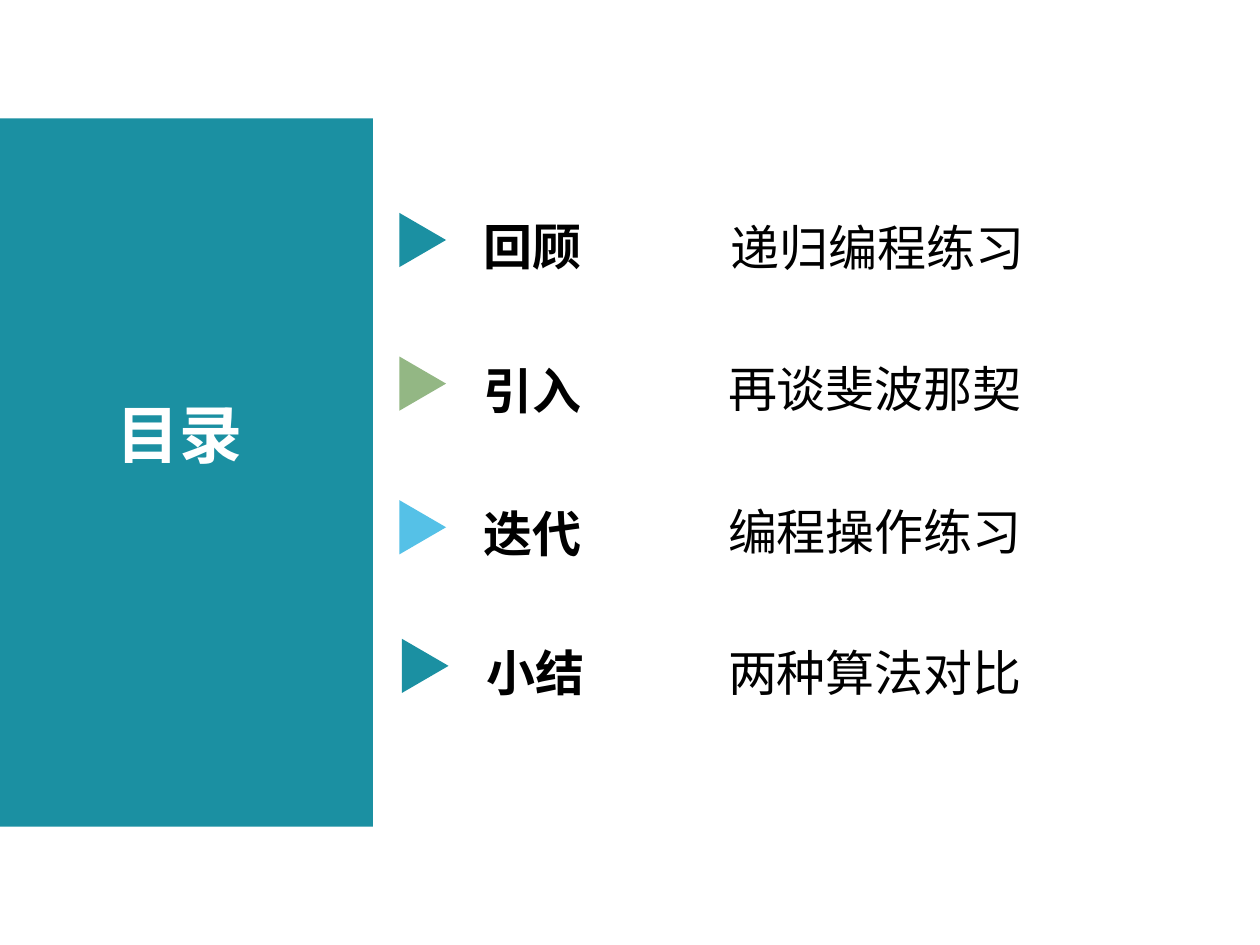
"""Build the contents slide with a title panel and four marked topics."""
from lxml import etree
from pptx import Presentation
from pptx.dml.color import RGBColor
from pptx.enum.shapes import MSO_SHAPE
from pptx.enum.text import MSO_AUTO_SIZE
from pptx.oxml.ns import qn
from pptx.util import Inches, Pt

RECTANGLE = MSO_SHAPE.RECTANGLE
TRIANGLE = MSO_SHAPE.ISOSCELES_TRIANGLE
FIT_SHAPE = MSO_AUTO_SIZE.SHAPE_TO_FIT_TEXT

TEAL = RGBColor(0x1B, 0x90, 0xA2)
GREEN = RGBColor(0x93, 0xB7, 0x84)
SKY = RGBColor(0x55, 0xC1, 0xE7)
BLACK = RGBColor(0, 0, 0)
WHITE = RGBColor(0xFF, 0xFF, 0xFF)
FONT = "Noto Sans CJK SC"

TITLE = "目录"
TOPICS = [
    {"label": "回顾", "detail": "递归编程练习", "color": TEAL,
     "marker": (3.14, 1.72), "label_top": 1.67, "detail_at": (5.7, 1.68)},
    {"label": "引入", "detail": "再谈斐波那契", "color": GREEN,
     "marker": (3.14, 2.86), "label_top": 2.81, "detail_at": (5.68, 2.8)},
    {"label": "迭代", "detail": "编程操作练习", "color": SKY,
     "marker": (3.14, 4), "label_top": 3.95, "detail_at": (5.68, 3.93)},
    {"label": "小结", "detail": "两种算法对比", "color": TEAL,
     "marker": (3.16, 5.1), "label_top": 5.05, "detail_at": (5.68, 5.05)},
]
LABEL_OFFSET = 0.6
LABEL_WIDTH = 1.89
DETAIL_WIDTH = 3.64
TEXT_HEIGHT = 0.57


def add_filled_shape(slide, kind, left, top, width, height, color):
    shape = slide.shapes.add_shape(
        kind, Inches(left), Inches(top), Inches(width), Inches(height))
    shape.shadow.inherit = False
    shape.fill.solid()
    shape.fill.fore_color.rgb = color
    shape.line.fill.background()
    return shape


def add_text(slide, text, left, top, width, height, size, color, bold):
    box = slide.shapes.add_textbox(
        Inches(left), Inches(top), Inches(width), Inches(height))
    frame = box.text_frame
    frame.word_wrap = True
    frame.auto_size = FIT_SHAPE
    run = frame.paragraphs[0].add_run()
    run.text = text
    run.font.size = Pt(size)
    run.font.bold = bold
    run.font.color.rgb = color
    run.font.name = FONT
    properties = run.font._element
    east_asian = etree.SubElement(properties, qn("a:ea"))
    east_asian.set("typeface", FONT)


def main():
    presentation = Presentation()
    presentation.slide_width = Inches(10)
    presentation.slide_height = Inches(7.5)
    slide = presentation.slides.add_slide(presentation.slide_layouts[6])

    add_filled_shape(slide, RECTANGLE, 0, 0.94, 2.96, 5.62, TEAL)
    add_text(slide, TITLE, 0.83, 3.09, 1.31, 0.7, 36, WHITE, True)

    for topic in TOPICS:
        left, top = topic["marker"]
        marker = add_filled_shape(
            slide, TRIANGLE, left, top, 0.43, 0.37, topic["color"])
        marker.rotation = 90
        add_text(slide, topic["label"], left + LABEL_OFFSET,
                 topic["label_top"], LABEL_WIDTH, TEXT_HEIGHT, 28, BLACK, True)
        add_text(slide, topic["detail"], *topic["detail_at"],
                 DETAIL_WIDTH, TEXT_HEIGHT, 28, BLACK, False)

    presentation.save("out.pptx")


if __name__ == "__main__":
    main()
